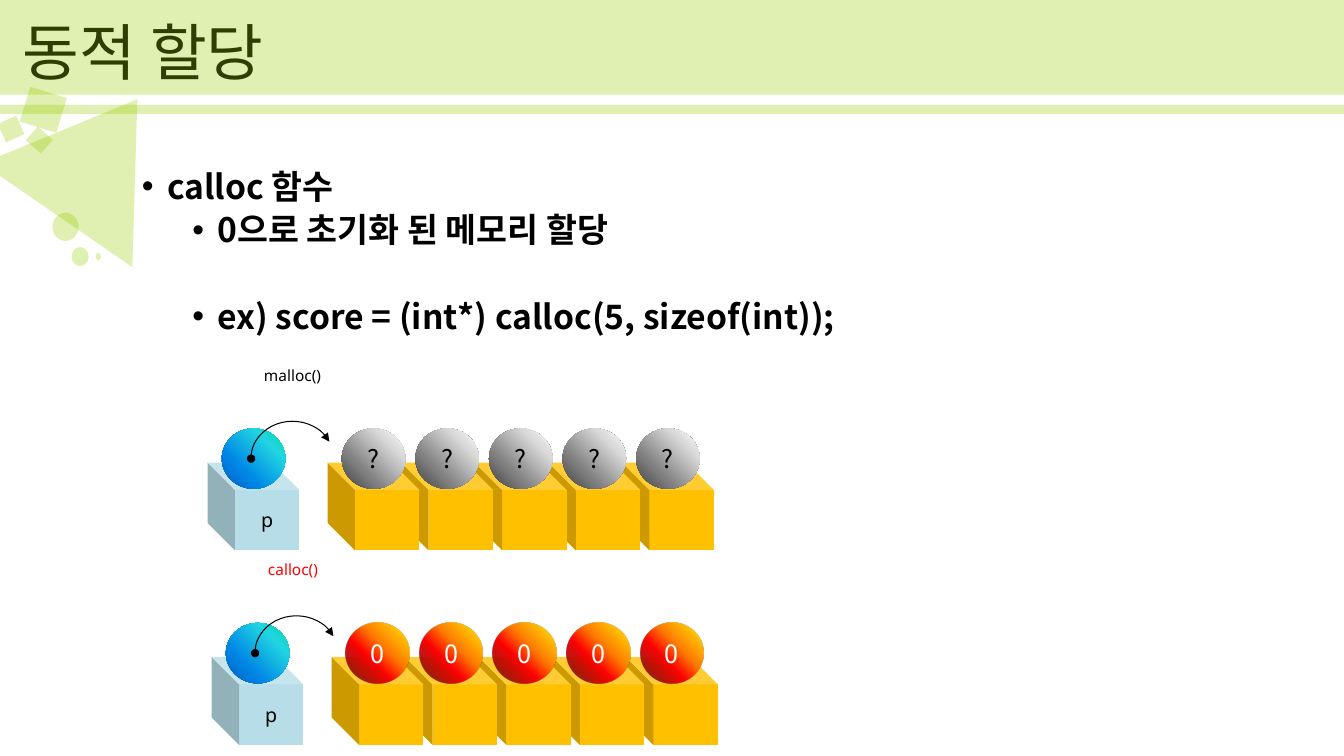
import pptx
import pptx.util
import pptx.dml.color
import pptx.enum.shapes
import pptx.enum.text
import pptx.oxml
import pptx.oxml.ns
from lxml import etree

Inches = pptx.util.Inches
Pt = pptx.util.Pt
SHAPE = pptx.enum.shapes.MSO_SHAPE
ANCHOR = pptx.enum.text.MSO_ANCHOR
ALIGN = pptx.enum.text.PP_ALIGN
qn = pptx.oxml.ns.qn

COLORS = {"text": "000000", "zero": "FFFFFF", "highlight": "FF0000",
          "theme": "99CC00", "pointer": "B7DEE8", "cell": "FFC000"}
# Gradient stops: position, colour, opacity (percent)
BALLS = {
    "pointer": [(0, "03D4A8", 100), (25, "21D6E0", 100), (68, "0087E6", 100), (100, "005CBF", 100)],
    "unknown": [(0, "FFFFFF", 100), (25, "D9D9D9", 100), (68, "808080", 100), (100, "404040", 100)],
    "zero": [(0, "FFF200", 100), (40, "FF7A00", 100), (60, "FF0300", 100), (100, "4D0808", 80)],
}
KOREAN = "Noto Sans CJK KR"
LATIN = "Noto Sans"
CELL_COUNT = 5
CELL_PITCH = 0.73


def rgb(name):
    return pptx.dml.color.RGBColor.from_string(COLORS[name])


def write(paragraph, text, size=18, font=KOREAN, color="text", bold=False,
          align=ALIGN.LEFT, line_spacing=None, before=0):
    run = paragraph.add_run()
    run.text = text
    run.font.size = Pt(size)
    run.font.bold = bold
    run.font.name = font
    run.font.color.rgb = rgb(color)
    east_asian = etree.SubElement(run.font._element, qn("a:ea"))
    east_asian.set("typeface", font)
    paragraph.alignment = align
    paragraph.space_before = Pt(before)
    if line_spacing:
        paragraph.line_spacing = line_spacing


def add_text_area(shapes, box, anchor=ANCHOR.TOP):
    frame = shapes.add_textbox(*map(Inches, box)).text_frame
    frame.word_wrap = True
    frame.vertical_anchor = anchor
    return frame


def add_plain(shapes, kind, box, fill=None, rotation=0):
    """Add a preset shape without shadow or outline."""
    shape = shapes.add_shape(kind, *map(Inches, box))
    shape.shadow.inherit = False
    shape.line.fill.background()
    shape.rotation = rotation
    if fill:
        shape.fill.solid()
        shape.fill.fore_color.rgb = rgb(fill)
    return shape


def write_inside(shape, text, **style):
    frame = shape.text_frame
    frame.margin_left = frame.margin_right = 0
    frame.margin_top = frame.margin_bottom = 0
    frame.vertical_anchor = ANCHOR.MIDDLE
    write(frame.paragraphs[0], text, align=ALIGN.CENTER, **style)


def add_title(slide, box):
    frame = add_text_area(slide.shapes, box, ANCHOR.MIDDLE)
    write(frame.paragraphs[0], "동적 할당", size=44, line_spacing=0.9)


def add_decoration(slide, left, top):
    """Translucent bands with scattered geometric ornaments."""
    shapes = slide.shapes.add_group_shape().shapes
    ornaments = [
        (SHAPE.RECTANGLE, 0, 0, 13.33, 0.94, 0),
        (SHAPE.RECTANGLE, 0, 1.04, 13.42, 0.09, 0),
        (SHAPE.ISOSCELES_TRIANGLE, 0.06, 0.86, 1.81, 1.4, 34.6),
        (SHAPE.RECTANGLE, 0.24, 0.91, 0.38, 0.36, 17.1),
        (SHAPE.RECTANGLE, 0.29, 1.3, 0.2, 0.18, 41.8),
        (SHAPE.RECTANGLE, 0.01, 1.18, 0.2, 0.2, 335.3),
        (SHAPE.OVAL, 0.95, 2.51, 0.05, 0.07, 0),
        (SHAPE.OVAL, 0.71, 2.45, 0.17, 0.19, 0),
        (SHAPE.OVAL, 0.52, 2.11, 0.26, 0.28, 0),
    ]
    for kind, x, y, width, height, rotation in ornaments:
        ornament = add_plain(shapes, kind, (left + x, top + y, width, height), "theme", rotation)
        color = ornament._element.spPr.find(qn("a:solidFill"))[0]
        etree.SubElement(color, qn("a:alpha")).set("val", "30000")


def add_explanation(slide, box):
    frame = add_text_area(slide.shapes, box)
    lines = [("calloc 함수", 0, 10),
             ("0으로 초기화 된 메모리 할당", 1, 5),
             ("ex) score = (int*) calloc(5, sizeof(int));", 1, 36)]
    for index, (text, level, before) in enumerate(lines):
        paragraph = frame.add_paragraph() if index else frame.paragraphs[0]
        write(paragraph, text, size=24, bold=True, line_spacing=0.9, before=before)
        paragraph.level = level
        properties = paragraph._p.get_or_add_pPr()
        properties.set("marL", str(Inches(0.25 + 0.5 * level)))
        properties.set("indent", str(Inches(-0.25)))
        etree.SubElement(properties, qn("a:buFont")).set("typeface", "Arial")
        etree.SubElement(properties, qn("a:buChar")).set("char", "•")


def add_cube(shapes, left, top, fill):
    cube = add_plain(shapes, SHAPE.CUBE, (left, top, 0.91, 0.87), fill)
    cube.adjustments[0] = 0.311
    cube._element.spPr.find(qn("a:xfrm")).set("flipH", "1")
    return cube


def add_ball(shapes, left, top, kind):
    """Add a sphere lit from its top right corner."""
    ball = add_plain(shapes, SHAPE.OVAL, (left, top, 0.63, 0.6))
    stops = "".join(
        f'<a:gs pos="{position * 1000}"><a:srgbClr val="{color}">'
        f'<a:alpha val="{opacity * 1000}"/></a:srgbClr></a:gs>'
        for position, color, opacity in BALLS[kind])
    gradient = pptx.oxml.parse_xml(
        f'<a:gradFill {pptx.oxml.ns.nsdecls("a")} rotWithShape="1"><a:gsLst>{stops}</a:gsLst>'
        '<a:path path="circle"><a:fillToRect l="100000" b="100000"/></a:path>'
        '<a:tileRect t="-100000" r="-100000"/></a:gradFill>')
    ball._element.spPr.find(qn("a:prstGeom")).addnext(gradient)
    return ball


def add_pointer_arc(shapes, left, top):
    arc = add_plain(shapes, SHAPE.ARC, (left, top, 0.82, 0.73))
    arc.adjustments[0] = 107.54
    arc.adjustments[1] = 201.668
    arc.fill.background()
    arc.line.color.rgb = rgb("text")
    arc.line.width = Pt(0.75)
    line = arc._element.spPr.find(qn("a:ln"))
    for end, head in (("a:headEnd", "oval"), ("a:tailEnd", "triangle")):
        etree.SubElement(line, qn(end)).set("type", head)


def add_memory_row(slide, left, top, function, value, ball_kind, label_color, value_color):
    """A pointer cube that refers to a row of allocated cells."""
    shapes = slide.shapes.add_group_shape().shapes
    ball_top, cube_top = top + 0.67, top + 1.01
    cells = [left + 1.19 + CELL_PITCH * i for i in reversed(range(CELL_COUNT))]

    pointer = add_cube(shapes, left, cube_top, "pointer")
    write_inside(pointer, "p", size=14, font=LATIN)
    for cell_left in cells:
        add_cube(shapes, cell_left, cube_top, "cell")
    for cell_left in cells:
        ball = add_ball(shapes, cell_left + 0.14, ball_top, ball_kind)
        write_inside(ball, value, color=value_color)
    add_ball(shapes, left + 0.14, ball_top, "pointer")
    add_pointer_arc(shapes, left + 0.43, top + 0.6)
    label = add_text_area(shapes, (left + 0.46, top, 1.5, 0.5))
    write(label.paragraphs[0], function, size=11, font=LATIN, color=label_color)


def main():
    deck = pptx.Presentation()
    deck.slide_width = Inches(13.33)
    deck.slide_height = Inches(7.5)
    slide = deck.slides.add_slide(deck.slide_layouts[6])
    add_title(slide, (0.13, -0.17, 11.5, 1.45))
    add_decoration(slide, 0, 0)
    add_explanation(slide, (1.31, 1.64, 11.39, 5.18))
    add_memory_row(slide, 2.06, 3.58, "malloc()", "?", "unknown", "text", "text")
    add_memory_row(slide, 2.1, 5.51, "calloc()", "0", "zero", "highlight", "zero")
    deck.save("out.pptx")


if __name__ == "__main__":
    main()
